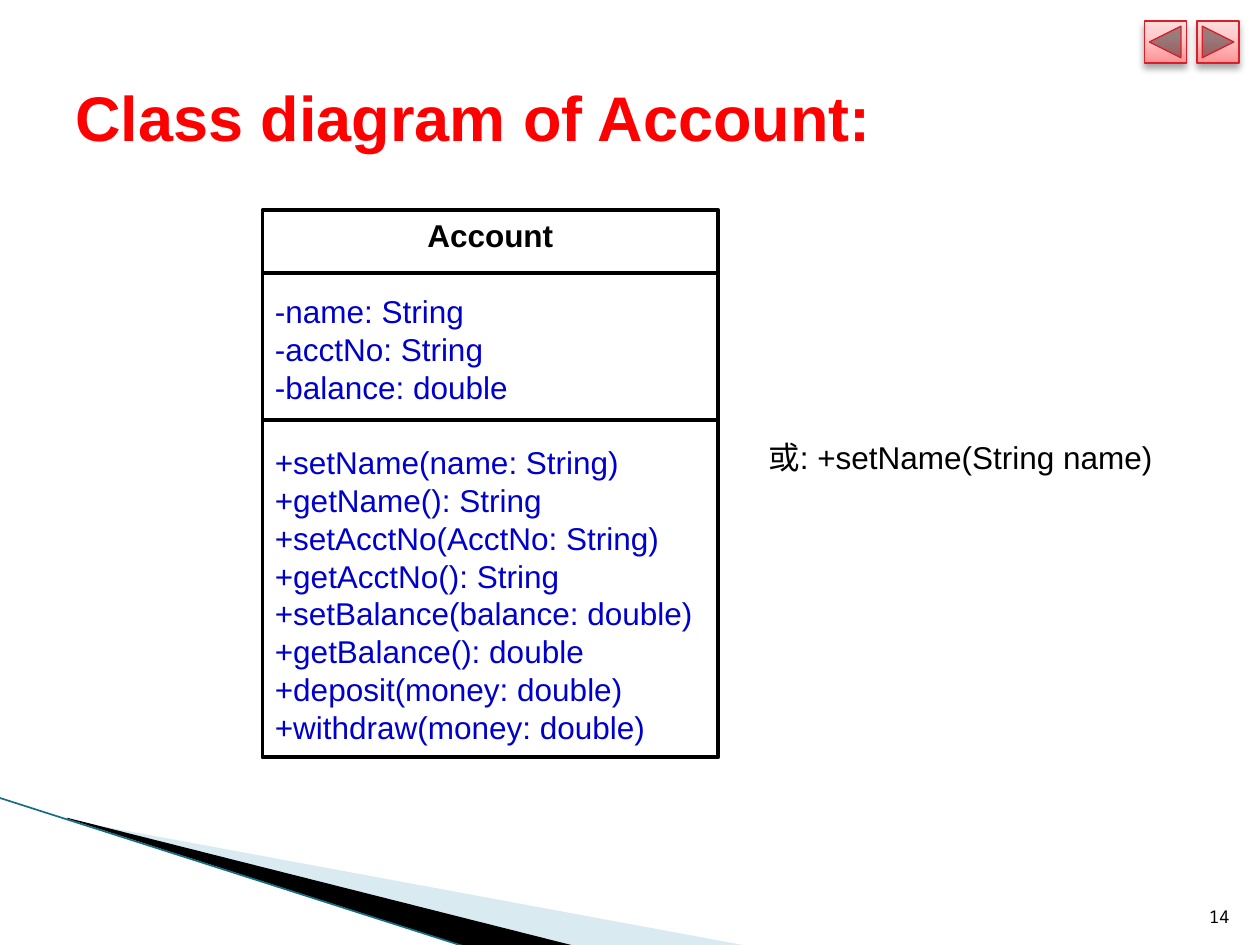
from lxml.etree import SubElement
from pptx import Presentation
from pptx.dml.color import RGBColor
from pptx.enum.shapes import MSO_CONNECTOR, MSO_SHAPE as SHAPE
from pptx.enum.text import MSO_ANCHOR as ANCHOR, PP_ALIGN as ALIGN
from pptx.oxml import parse_xml
from pptx.oxml.ns import nsdecls, qn
from pptx.util import Pt

BLACK = RGBColor(0x00, 0x00, 0x00)
RED = RGBColor(0xFF, 0x00, 0x00)
BLUE = RGBColor(0x00, 0x00, 0xCC)
TEAL = RGBColor(0x15, 0x6E, 0x82)
PALE_BLUE = RGBColor(0xA0, 0xCB, 0xDC)
BUTTON_EDGE = RGBColor(0xDA, 0x1F, 0x28)
BUTTON_STOPS = [(0, "FF9294"), (65, "FFCDCD"), (100, "FFDCDC")]

ATTRIBUTES = ["-name: String", "-acctNo: String", "-balance: double"]
METHODS = [
    "+setName(name: String)",
    "+getName(): String",
    "+setAcctNo(AcctNo: String)",
    "+getAcctNo(): String",
    "+setBalance(balance: double)",
    "+getBalance(): double",
    "+deposit(money: double)",
    "+withdraw(money: double)",
]
LINE_HEIGHT = 21.6


def add_text(tf, text, size=18, color=BLACK, bold=False, font="Arial",
             align=ALIGN.LEFT, before=0, spacing=None):
    """Fill the first paragraph of tf if it is empty, else append one."""
    p = tf.paragraphs[0] if not tf.text else tf.add_paragraph()
    p.alignment = align
    p.space_before = Pt(before)
    if spacing:
        p.line_spacing = Pt(spacing)
    r = p.add_run()
    r.text = text
    r.font.name, r.font.size, r.font.bold = font, Pt(size), bold
    r.font.color.rgb = color


class Deck:
    def __init__(self, width, height, edge=2.25):
        self.prs = Presentation()
        self.prs.slide_width, self.prs.slide_height = Pt(width), Pt(height)
        self.s = self.prs.slides.add_slide(self.prs.slide_layouts[6])
        self.edge = edge

    def text(self, box, text, anchor=ANCHOR.TOP, wrap=True, **fmt):
        tf = self.s.shapes.add_textbox(*map(Pt, box)).text_frame
        tf.word_wrap, tf.vertical_anchor = wrap, anchor
        add_text(tf, text, **fmt)

    def line(self, start, end, color=BLACK, width=None):
        c = self.s.shapes.add_connector(MSO_CONNECTOR.STRAIGHT,
                                        *map(Pt, start + end))
        c.line.color.rgb, c.line.width = color, Pt(width or self.edge)
        SubElement(c._element.spPr, qn("a:effectLst"))

    def frame(self, box):
        """Add an unfilled rectangle and return its text frame."""
        sp = self.s.shapes.add_shape(SHAPE.RECTANGLE, *map(Pt, box))
        sp.shadow.inherit = False
        sp.fill.background()
        sp.line.color.rgb, sp.line.width = BLACK, Pt(self.edge)
        tf = sp.text_frame
        tf.word_wrap, tf.vertical_anchor = False, ANCHOR.TOP
        return tf

    def polygon(self, points, color, opacity=100):
        start, *rest = [(Pt(x), Pt(y)) for x, y in points]
        fb = self.s.shapes.build_freeform(*start)
        fb.add_line_segments(rest, close=True)
        sp = fb.convert_to_shape()
        sp.shadow.inherit = False
        sp.line.fill.background()
        sp.fill.solid()
        sp.fill.fore_color.rgb = color
        if opacity < 100:
            clr = sp._element.spPr.find(".//" + qn("a:srgbClr"))
            SubElement(clr, qn("a:alpha"), val=str(opacity * 1000))

    def button(self, kind, box):
        """Add a navigation button with a gradient and a soft shadow."""
        sp = self.s.shapes.add_shape(kind, *map(Pt, box))
        sp.line.color.rgb, sp.line.width = BUTTON_EDGE, Pt(0.75)
        stops = "".join(
            f'<a:gs pos="{pos * 1000}"><a:srgbClr val="{rgb}"/></a:gs>'
            for pos, rgb in BUTTON_STOPS)
        spPr = sp._element.spPr
        spPr.find(qn("a:ln")).addprevious(parse_xml(
            f'<a:gradFill {nsdecls("a")} rotWithShape="1">'
            f'<a:gsLst>{stops}</a:gsLst><a:lin ang="16200000"/></a:gradFill>'))
        spPr.append(parse_xml(
            f'<a:effectLst {nsdecls("a")}><a:outerShdw blurRad="{Pt(4)}" '
            f'dist="{Pt(3)}" dir="5400000" rotWithShape="0">'
            '<a:srgbClr val="000000"><a:alpha val="35000"/></a:srgbClr>'
            '</a:outerShdw></a:effectLst>'))


def main():
    deck = Deck(720, 540)

    deck.polygon([(39.6, 468.7), (428.4, 540.7), (328.3, 540.7),
                  (39.6, 468)], PALE_BLUE, opacity=40)
    deck.polygon([(38.2, 467.3), (329, 540.7), (267.8, 541.4),
                  (38.9, 468)], BLACK)
    deck.line((-0.7, 455.8), (267.1, 541.4), TEAL, 0.95)

    for i, kind in enumerate([SHAPE.ACTION_BUTTON_BACK_OR_PREVIOUS,
                              SHAPE.ACTION_BUTTON_FORWARD_OR_NEXT]):
        deck.button(kind, (653.8 + 30.2 * i, 12, 24, 24))

    deck.text((36, 21.6, 648, 90), "Class diagram of Account:",
              anchor=ANCHOR.MIDDLE, size=36, color=RED, bold=True)
    deck.text((681, 504.7, 28.8, 28.8), "14", anchor=ANCHOR.BOTTOM,
              size=10, font="Noto Sans Mono", align=ALIGN.RIGHT)

    left, top, width, height = 150, 120.2, 260.4, 312.5
    tf = deck.frame((left, top, width, height))
    add_text(tf, "Account", bold=True, align=ALIGN.CENTER,
             spacing=LINE_HEIGHT)
    for members in (ATTRIBUTES, METHODS):
        for i, member in enumerate(members):
            add_text(tf, member, color=BLUE, spacing=LINE_HEIGHT,
                     before=0 if i else LINE_HEIGHT)
    for y in (156.2, 240):
        deck.line((left, y), (left + width, y))

    deck.text((432, 247, 241.2, 28.8), "或: +setName(String name)",
              wrap=False)

    deck.prs.save("out.pptx")


if __name__ == "__main__":
    main()
